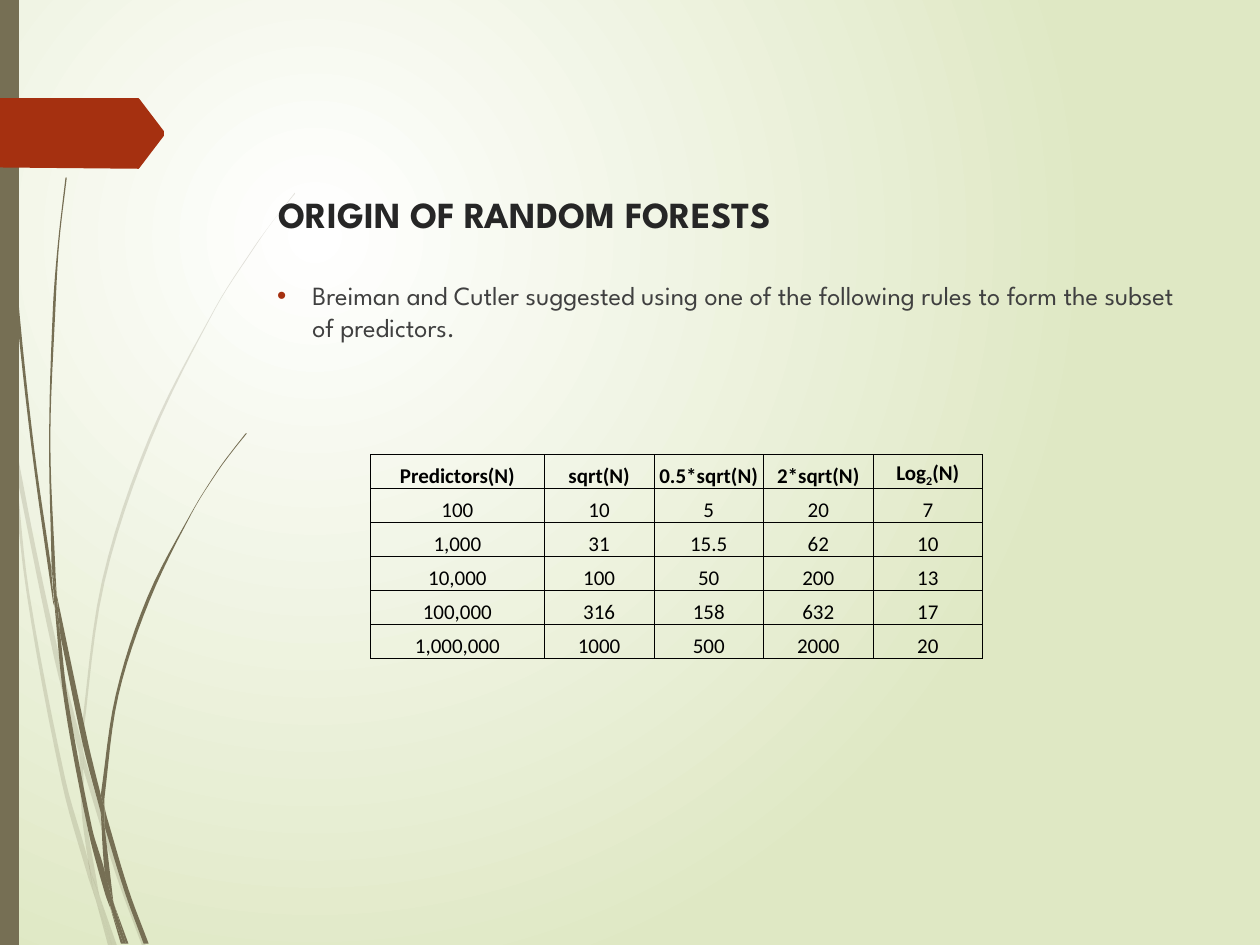
import math
from dataclasses import dataclass

import pptx
import pptx.dml.color
import pptx.enum.shapes
import pptx.enum.text
import pptx.oxml
import pptx.oxml.ns
import pptx.util

qn = pptx.oxml.ns.qn
Inches = pptx.util.Inches
WIDTH, HEIGHT = Inches(10), Inches(7.5)
COLS, ROWS = 100, 75


@dataclass(frozen=True)
class Theme:
    center: str = "FFFFFF"
    edge: str = "DFE8C4"
    stem: str = "766F54"
    accent: str = "A53010"
    title: str = "262626"
    body: str = "404040"
    ink: str = "000000"
    font: str = "League Spartan"
    table_font: str = "Calibri"
    title_size: float = 21
    body_size: float = 15
    table_size: float = 12


T = Theme()

PALE_BLADES = [
    ([(0.08, 3.5), (0.06, 3.22), (0, 2.82)], [(0, 2.99), (0.08, 3.44)]),
    ([(0.13, 3.76), (0.43, 5.22), (0.63, 5.99)],
     [(0.64, 5.86), (0.47, 5.2), (0.28, 4.33), (0.11, 3.45)]),
    ([(1.13, 7.51), (0.92, 6.94), (0.66, 6.1)],
     [(0.66, 5.96), (0.69, 6.07), (0.95, 6.92), (1.16, 7.51)]),
    ([(0.79, 7.11), (0.89, 7.51)], [(0.93, 7.51)]),
    ([(0.08, 3.5), (0.21, 4.7), (0.49, 6.21), (0.69, 6.93), (0.76, 7.14)],
     [(0.74, 7.07), (0.7, 6.83), (0.52, 6.19), (0.23, 4.69), (0.13, 3.76)]),
    ([(0.63, 5.99), (0.65, 6.46), (0.7, 6.83), (0.72, 6.92), (0.79, 7.11)],
     [(0.78, 7.06), (0.68, 6.46), (0.66, 6.1)]),
    ([(0.66, 5.96), (0.66, 5.84), (0.83, 4.62), (1.2, 3.49), (1.71, 2.45),
      (2.01, 1.98), (2.17, 1.75), (2.34, 1.54)],
     [(2.34, 1.53), (2.17, 1.75), (2.01, 1.97), (1.71, 2.44), (1.18, 3.48),
      (0.81, 4.61), (0.64, 5.84)]),
    ([(0.76, 7.14), (0.86, 7.51)], [(0.89, 7.51)]),
    ([(0.66, 6.1), (0.66, 5.96)], [(0.64, 5.86), (0.63, 5.99)]),
    ([(0.7, 6.83), (0.74, 7.07), (0.76, 7.14), (0.89, 7.51)],
     [(0.79, 7.11), (0.72, 6.92)]),
]
DARK_BLADES = [
    ([(0.02, 0), (0.03, 0.48), (0.05, 1.1), (0.12, 2.33), (0.25, 3.55),
      (0.42, 4.77), (0.43, 4.81)],
     [(0.41, 4.57), (0.41, 4.53), (0.27, 3.55), (0.14, 2.32), (0.06, 1.09),
      (0.03, 0.48), (0.03, 0)]),
    ([(0.48, 5.05), (0.66, 5.92), (0.8, 6.45)],
     [(0.8, 6.31), (0.7, 5.9), (0.45, 4.72)]),
    ([(1.14, 7.49), (0.99, 7.08), (0.83, 6.56)],
     [(0.83, 6.41), (0.85, 6.49), (1.02, 7.06), (1.18, 7.49)]),
    ([(0.43, 4.77), (0.51, 5.57), (0.7, 6.59), (0.83, 7.08), (0.88, 7.22)],
     [(0.87, 7.17), (0.83, 6.91), (0.73, 6.57), (0.54, 5.56), (0.48, 5.05)]),
    ([(0.45, 4.72), (0.44, 4.53), (0.4, 3.49), (0.44, 2.45), (0.47, 1.93), (0.53, 1.41)],
     [(0.52, 1.41), (0.46, 1.93), (0.42, 2.45), (0.39, 3.49), (0.41, 4.49)]),
    ([(0.91, 7.19), (1, 7.49)], [(1.02, 7.49)]),
    ([(0.43, 4.77), (0.48, 5.05)], [(0.45, 4.72), (0.41, 4.49)]),
    ([(0.83, 6.41), (0.83, 6.33), (0.94, 5.52), (1.19, 4.76), (1.53, 4.06),
      (1.73, 3.74), (1.84, 3.59), (1.96, 3.44)],
     [(1.95, 3.44), (1.84, 3.58), (1.73, 3.73), (1.53, 4.05), (1.17, 4.74),
      (0.92, 5.51), (0.8, 6.31)]),
    ([(0.88, 7.22), (0.96, 7.49)], [(0.98, 7.49)]),
    ([(0.8, 6.45), (0.83, 6.91), (0.87, 7.06), (0.91, 7.19)],
     [(0.9, 7.16), (0.83, 6.56)]),
    ([(0.8, 6.45), (0.83, 6.56)], [(0.83, 6.41), (0.8, 6.31)]),
    ([(0.83, 6.91), (0.87, 7.17), (0.98, 7.49)], [(1, 7.49), (0.87, 7.06)]),
]
ARROW = [(0, 0.78), (1.1, 0.78), (1.11, 0.79), (1.3, 1.04), (1.3, 1.08),
         (1.11, 1.33), (1.1, 1.34), (0, 1.33)]
TABLE = [
    ["Predictors(N)", "sqrt(N)", "0.5*sqrt(N)", "2*sqrt(N)", ("Log", "2", "(N)")],
    ["100", "10", "5", "20", "7"],
    ["1,000", "31", "15.5", "62", "10"],
    ["10,000", "100", "50", "200", "13"],
    ["100,000", "316", "158", "632", "17"],
    ["1,000,000", "1000", "500", "2000", "20"],
]


def rgb(color):
    return pptx.dml.color.RGBColor.from_string(color)


def box(left, top, width, height):
    return [int(v) for v in (left * WIDTH / COLS, top * HEIGHT / ROWS,
                             width * WIDTH / COLS, height * HEIGHT / ROWS)]


def xml(markup):
    head, tail = markup.split(" ", 1)
    return pptx.oxml.parse_xml(f"{head} {pptx.oxml.ns.nsdecls('a')} {tail}")


def write(p, text, *, font=T.font, size, color, bold=False, align="LEFT", baseline=0):
    p.alignment = getattr(pptx.enum.text.PP_ALIGN, align)
    r = p.add_run()
    r.text = text
    r.font.name, r.font.size, r.font.bold = font, pptx.util.Pt(size), bold
    r.font.color.rgb = rgb(color)
    if baseline:
        r.font._element.set("baseline", str(baseline * 1000))


def frame(tf, anchor, inset):
    tf.word_wrap = True
    tf.auto_size = pptx.enum.text.MSO_AUTO_SIZE.NONE
    tf.vertical_anchor = getattr(pptx.enum.text.MSO_ANCHOR, anchor)
    tf.margin_left = tf.margin_right = Inches(inset)
    tf.margin_top = tf.margin_bottom = Inches(inset / 2)


def paint(sp, color, alpha=100):
    sp.shadow.inherit = False
    sp.fill.solid()
    sp.fill.fore_color.rgb = rgb(color)
    sp.line.fill.background()
    if alpha < 100:
        clr = sp.element.spPr.find(".//" + qn("a:srgbClr"))
        clr.append(xml(f'<a:alpha val="{alpha * 1000}"/>'))


def smooth(points, steps=6):
    n = len(points)
    if n < 3:
        return points

    def tangent(i):
        span = points[max(i - 1, 0):min(i + 2, n)]
        run = sum(math.dist(a, b) for a, b in zip(span, span[1:]))
        return [(b - a) / run for a, b in zip(span[0], span[-1])]

    curve = [points[0]]
    for i, (a, b) in enumerate(zip(points, points[1:])):
        h, ma, mb = math.dist(a, b), tangent(i), tangent(i + 1)
        for k in range(1, steps + 1):
            t = k / steps
            u = 1 - t
            curve.append(tuple(
                u * u * (1 + 2 * t) * a[d] + t * t * (3 - 2 * t) * b[d]
                + h * t * u * (u * ma[d] - t * mb[d]) for d in (0, 1)))
    return curve


def outline(s, points, color, alpha=100):
    pts = [(Inches(x), Inches(y)) for x, y in points]
    fb = s.shapes.build_freeform(*pts[0])
    fb.add_line_segments(pts[1:], close=True)
    paint(fb.convert_to_shape(), color, alpha)


def background(s):
    fill = s.background.fill
    fill.gradient()
    for stop, color in zip(fill.gradient_stops, (T.center, T.edge)):
        stop.color.rgb = rgb(color)
    grad = s.element.find(".//" + qn("a:gradFill"))
    lin = grad.find(qn("a:lin"))
    grad.replace(lin, xml('<a:path path="circle"><a:fillToRect l="50000" t="50000" '
                          'r="100000" b="100000"/></a:path>'))


def decoration(s):
    for blades, alpha in ((PALE_BLADES, 20), (DARK_BLADES, 100)):
        for out, back in blades:
            outline(s, smooth(out) + smooth(back), T.stem, alpha)
    bar = s.shapes.add_shape(pptx.enum.shapes.MSO_SHAPE.RECTANGLE, *box(0, 0, 1.5, ROWS))
    paint(bar, T.stem)
    outline(s, ARROW, T.accent)


def title(s, text):
    sp = s.shapes.title
    sp.left, sp.top, sp.width, sp.height = box(21.3, 14.5, 73.1, 4.9)
    frame(sp.text_frame, "MIDDLE", 0.08)
    write(sp.text_frame.paragraphs[0], text, size=T.title_size, color=T.title, bold=True)
    s.shapes.element.append(sp.element)


def bullet(s, text):
    tf = s.shapes.add_textbox(*box(21.2, 21.8, 73.1, 36.1)).text_frame
    frame(tf, "TOP", 0.08)
    p = tf.paragraphs[0]
    pPr = p._p.get_or_add_pPr()
    pPr.set("marL", str(Inches(0.28)))
    pPr.set("indent", str(-Inches(0.28)))
    pPr.append(xml(f'<a:buClr ><a:srgbClr val="{T.accent}"/></a:buClr>'))
    pPr.append(xml('<a:buFont typeface="Arial"/>'))
    pPr.append(xml('<a:buChar char="•"/>'))
    write(p, text, size=T.body_size, color=T.body)


def cell_format(cell):
    cell.margin_left = cell.margin_right = cell.margin_top = Inches(0.01)
    cell.margin_bottom = 0
    cell.vertical_anchor = pptx.enum.text.MSO_ANCHOR.BOTTOM
    tcPr = cell._tc.get_or_add_tcPr()
    for side in "LRTB":
        tcPr.append(xml(f'<a:ln{side} w="6350"><a:solidFill><a:srgbClr val="{T.ink}"/>'
                        f'</a:solidFill></a:ln{side}>'))
    cell.fill.background()


def table(s, rows):
    tbl = s.shapes.add_table(len(rows), len(rows[0]), *box(29.4, 36.1, 48.8, 16.2)).table
    tbl.first_row = tbl.horz_banding = False
    for i, col in enumerate(tbl.columns):
        col.width = Inches(0.87 if i else 1.38)
    for i, row in enumerate(rows):
        for j, value in enumerate(row):
            cell = tbl.cell(i, j)
            cell_format(cell)
            parts = (value,) if isinstance(value, str) else value
            for k, part in enumerate(parts):
                write(cell.text_frame.paragraphs[0], part, font=T.table_font,
                      size=T.table_size, color=T.ink, bold=i == 0, align="CENTER",
                      baseline=-25 if k == 1 else 0)


def main():
    prs = pptx.Presentation()
    prs.slide_width, prs.slide_height = WIDTH, HEIGHT
    s = prs.slides.add_slide(prs.slide_layouts[5])
    background(s)
    decoration(s)
    title(s, "ORIGIN OF RANDOM FORESTS")
    bullet(s, "Breiman and Cutler suggested using one of the following rules "
              "to form the subset of predictors.")
    table(s, TABLE)
    prs.save("out.pptx")


if __name__ == "__main__":
    main()
